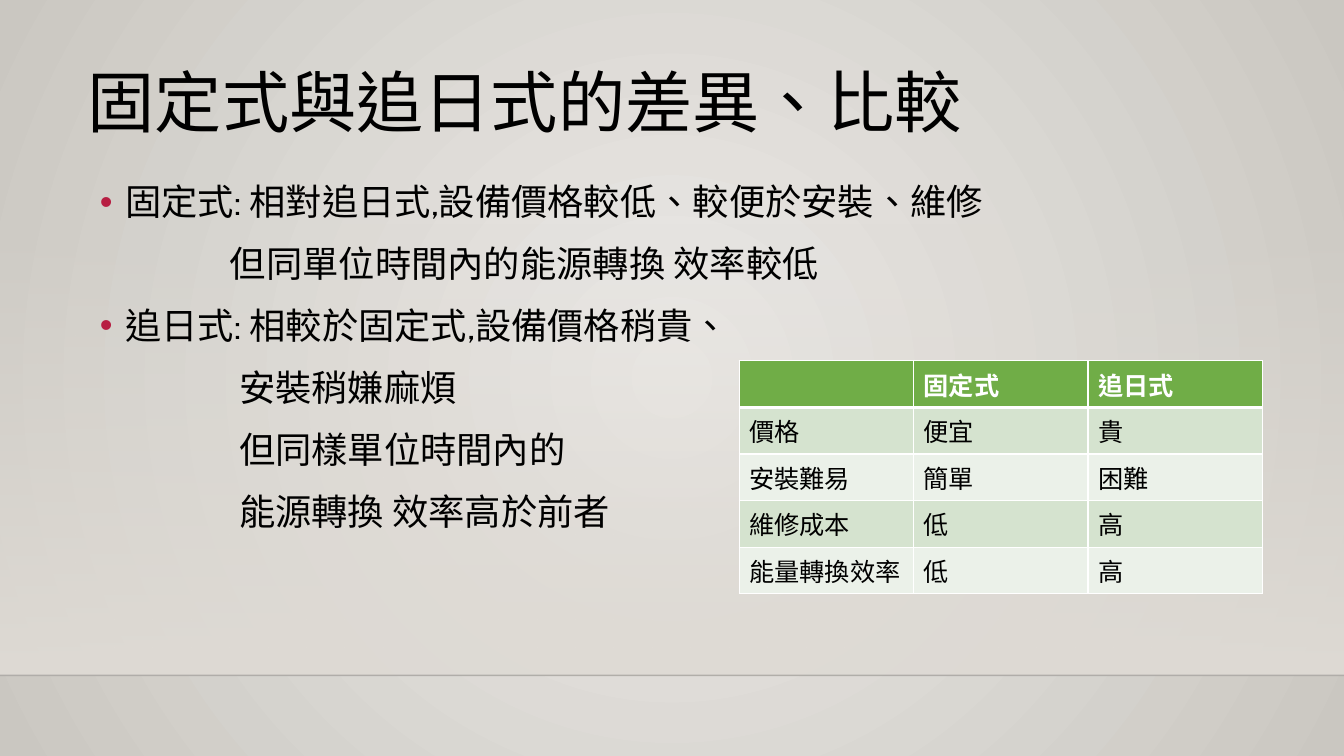
from pptx import Presentation, oxml
from pptx import util as u
from pptx.dml.color import RGBColor
from pptx.enum import lang, shapes, text
from pptx.oxml.ns import nsdecls

WIDTH, HEIGHT = u.Inches(13.33), u.Inches(7.5)
BLACK, WHITE, ACCENT = "000000", "FFFFFF", "B71E42"
HEADER, STRIPES = "70AD47", ("D5E3CF", "EBF1E9")

TITLE = "固定式與追日式的差異、比較"
# Each line: text, hanging position in inches, bulleted
POINTS = [
    ("固定式: 相對追日式,設備價格較低、較便於安裝、維修", 0.25, True),
    ("但同單位時間內的能源轉換 效率較低", 1.29, False),
    ("追日式: 相較於固定式,設備價格稍貴、", 0.25, True),
    ("安裝稍嫌麻煩", 1.38, False),
    ("但同樣單位時間內的", 1.38, False),
    ("能源轉換 效率高於前者", 1.38, False),
]
COMPARISON = [
    ("", "固定式", "追日式"),
    ("價格", "便宜", "貴"),
    ("安裝難易", "簡單", "困難"),
    ("維修成本", "低", "高"),
    ("能量轉換效率", "低", "高"),
]


def area(left, top, width, height):
    """Turn percentages of the slide into lengths."""
    return [int(share * side / 100) for share, side in
            zip((left, top, width, height), (WIDTH, HEIGHT) * 2)]


def paint(color_format, value):
    color_format.rgb = RGBColor.from_string(value)


def apply(target, formats):
    for name, value in formats.items():
        setattr(target, name, value)


def xml(markup):
    """Build an element in the drawing namespace from its first tag on."""
    tag, rest = markup[1:].split(" ", 1)
    return oxml.parse_xml(f"<{tag} {nsdecls('a')} {rest}")


def write(paragraph, words, size, color=BLACK, bold=False):
    run = paragraph.add_run()
    run.text = words
    apply(run.font, {"name": "Cabin", "size": u.Pt(size), "bold": bold,
                     "language_id": lang.MSO_LANGUAGE_ID.TRADITIONAL_CHINESE})
    paint(run.font.color, color)


def set_gradient(fill, owner, stops, direction):
    fill.solid()
    plain = owner.xpath("./p:spPr/a:solidFill | ./p:cSld/p:bg/p:bgPr/a:solidFill")[0]
    marks = "".join(
        f'<a:gs pos="{pos}000"><a:srgbClr val="{color}"><a:alpha val="{alpha}000"/>'
        "</a:srgbClr></a:gs>" for pos, color, alpha in stops)
    plain.getparent().replace(plain, xml(
        f'<a:gradFill rotWithShape="1"><a:gsLst>{marks}</a:gsLst>{direction}</a:gradFill>'))


def add_backdrop(slide):
    set_gradient(slide.background.fill, slide.element,
                 [(0, "ECEAE7", 100), (100, "CAC7C1", 100)],
                 '<a:path path="circle"><a:fillToRect l="50000" t="50000" '
                 'r="50000" b="50000"/></a:path>')

    # Wall that fades in towards the floor
    wall = slide.shapes.add_shape(shapes.MSO_SHAPE.RECTANGLE, *area(0, 29.47, 100, 59.87))
    wall.shadow.inherit = False
    wall.line.fill.background()
    set_gradient(wall.fill, wall.element, [(0, "DFDBD5", 0), (100, "DFDBD5", 100)],
                 '<a:lin ang="5400000" scaled="0"/>')

    # Floor edge
    floor_y = int(HEIGHT * 0.8933)
    floor = slide.shapes.add_connector(shapes.MSO_CONNECTOR.STRAIGHT, 0, floor_y, WIDTH, floor_y)
    floor.line.width = u.Pt(1)
    paint(floor.line.color, "000001")
    floor.element.xpath(".//a:ln//a:srgbClr")[0].append(xml('<a:alpha val="20000"/>'))
    floor.element.spPr.append(xml("<a:effectLst />"))

    # Both go behind the placeholders
    tree = wall.element.getparent()
    for depth, part in enumerate((wall, floor), start=2):
        tree.insert(depth, part.element)


def prepare(placeholder, box):
    apply(placeholder, dict(zip(("left", "top", "width", "height"), box)))
    frame = placeholder.text_frame
    apply(frame, {"word_wrap": True, "auto_size": text.MSO_AUTO_SIZE.NONE,
                  "vertical_anchor": text.MSO_ANCHOR.TOP})
    return frame


def fill_title(title):
    heading = prepare(title, area(5.78, 8.53, 78.75, 15.33)).paragraphs[0]
    apply(heading, {"alignment": text.PP_ALIGN.LEFT, "line_spacing": 0.9})
    write(heading, TITLE, 48)


def fill_points(body):
    frame = prepare(body, area(6.68, 22.53, 78.75, 50.27))
    for number, (words, margin, bulleted) in enumerate(POINTS):
        point = frame.add_paragraph() if number else frame.paragraphs[0]
        apply(point, {"line_spacing": 1.1, "space_before": u.Pt(10)})
        write(point, words, 25.9)
        layout = point._p.get_or_add_pPr()
        layout.set("marL", str(u.Inches(margin)))
        layout.set("indent", str(u.Inches(-0.25 if bulleted else 0)))
        if bulleted:
            layout.append(xml(f'<a:buClr ><a:srgbClr val="{ACCENT}"/></a:buClr>'))
            layout.append(xml('<a:buFont typeface="Arial"/>'))
            layout.append(xml('<a:buChar char="•"/>'))
        else:
            layout.append(xml("<a:buNone />"))


def set_borders(cell, bottom):
    properties = cell._tc.get_or_add_tcPr()
    widths = {"lnL": 1, "lnR": 1, "lnT": 1, "lnB": bottom}
    for position, (side, width) in enumerate(widths.items()):
        properties.insert(position, xml(
            f'<a:{side} w="{u.Pt(width)}"><a:solidFill><a:srgbClr val="{WHITE}"/>'
            f"</a:solidFill></a:{side}>"))


def add_comparison(slide):
    table = slide.shapes.add_table(len(COMPARISON), len(COMPARISON[0]),
                                   *area(55, 47.73, 38.93, 28)).table
    for row, entries in enumerate(COMPARISON):
        is_header = row == 0
        for column, words in enumerate(entries):
            cell = table.cell(row, column)
            cell.fill.solid()
            paint(cell.fill.fore_color, HEADER if is_header else STRIPES[(row - 1) % 2])
            set_borders(cell, bottom=3 if is_header else 1)
            if words:
                write(cell.text_frame.paragraphs[0], words, 18,
                      WHITE if is_header else BLACK, is_header)


def main():
    deck = Presentation()
    apply(deck, {"slide_width": WIDTH, "slide_height": HEIGHT})
    slide = deck.slides.add_slide(deck.slide_layouts[1])
    add_backdrop(slide)
    fill_title(slide.shapes.title)
    fill_points(slide.placeholders[1])
    add_comparison(slide)
    deck.save("out.pptx")


if __name__ == "__main__":
    main()
